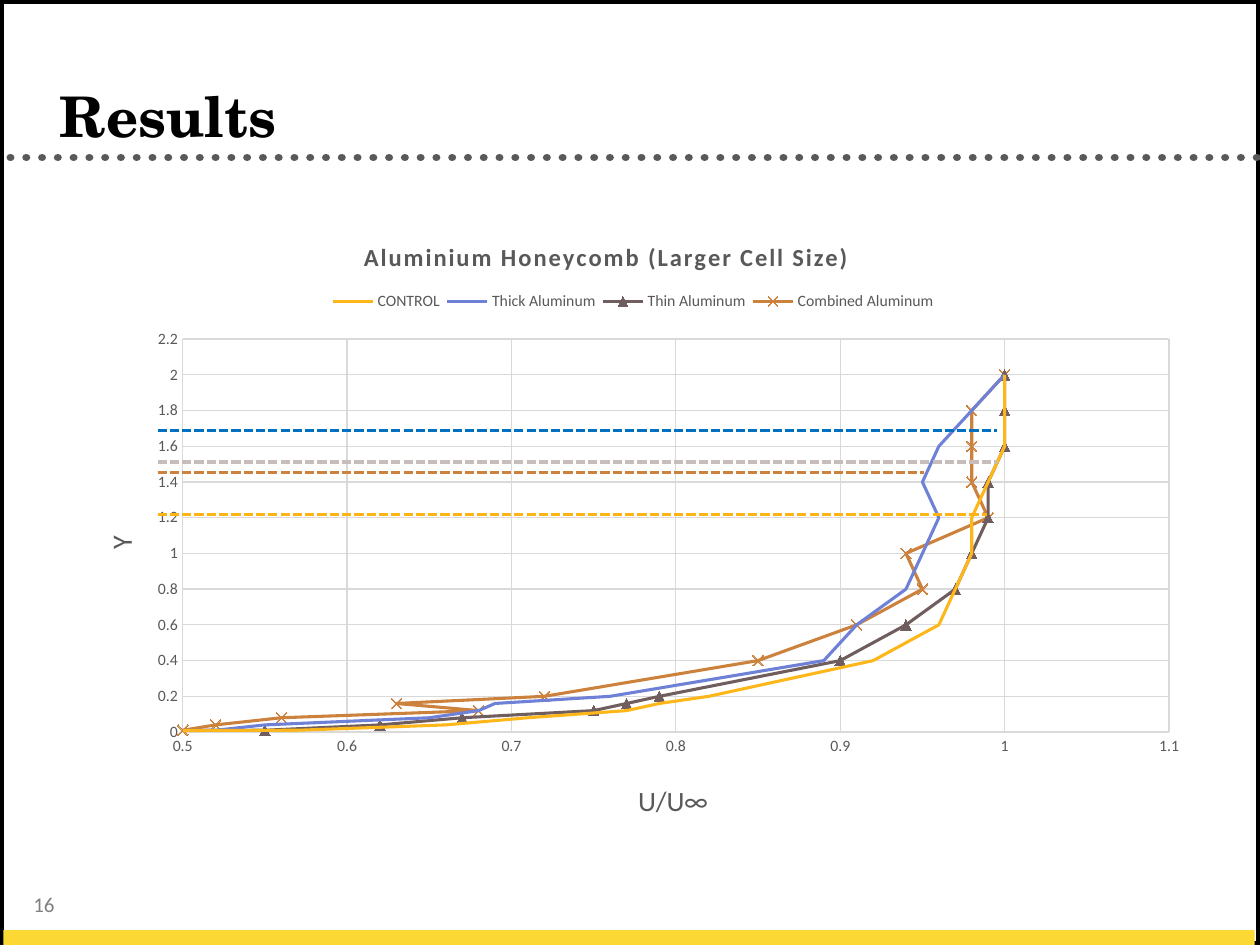
from lxml.etree import SubElement
from pptx import Presentation
from pptx.chart.data import XyChartData
from pptx.dml.color import RGBColor
from pptx.enum.chart import XL_CHART_TYPE as CHART, XL_LEGEND_POSITION as LEGEND
from pptx.enum.chart import XL_MARKER_STYLE as MARKER, XL_TICK_MARK as TICK
from pptx.enum.dml import MSO_LINE as DASH
from pptx.enum.shapes import MSO_CONNECTOR as CONN, MSO_SHAPE as SHAPE
from pptx.enum.text import MSO_ANCHOR as ANCHOR, PP_ALIGN as ALIGN
from pptx.oxml import parse_xml
from pptx.oxml.ns import nsdecls, qn
from pptx.util import Pt

GRAY, GRID = "595959", "D9D9D9"
Y = [0, 0.01, 0.04, 0.08, 0.12, 0.16, 0.2, 0.4, 0.6, 0.8, 1, 1.2, 1.4, 1.6, 1.8, 2]
SERIES = [
    ("CONTROL", "FEB71A", MARKER.NONE,
     [0, 0.57, 0.66, 0.71, 0.77, 0.79, 0.82, 0.92, 0.96, 0.97, 0.98, 0.98, 0.99, 1, 1, 1]),
    ("Thick Aluminum", "6E81D6", MARKER.NONE,
     [0, 0.52, 0.55, 0.65, 0.68, 0.69, 0.76, 0.89, 0.91, 0.94, 0.95, 0.96, 0.95, 0.96, 0.98, 1]),
    ("Thin Aluminum", "705E5F", MARKER.TRIANGLE,
     [0, 0.55, 0.62, 0.67, 0.75, 0.77, 0.79, 0.9, 0.94, 0.97, 0.98, 0.99, 0.99, 1, 1, 1]),
    ("Combined Aluminum", "CC823D", MARKER.X,
     [0, 0.5, 0.52, 0.56, 0.68, 0.63, 0.72, 0.85, 0.91, 0.95, 0.94, 0.99, 0.98, 0.98, 0.98, 1]),
]
LEVELS = [("CC823D", 270, 528), ("0070C0", 246, 570), ("C8BDBD", 264, 570), ("FEB514", 294, 564)]


def rgb(value):
    return RGBColor.from_string(value)


def style_line(line, color, width):
    line.color.rgb = rgb(color)
    line.width = Pt(width)


def add_run(p, text, size, color, font="Calibri", bold=False):
    r = p.add_run()
    r.text = text
    r.font.size, r.font.name, r.font.bold = Pt(size), font, bold
    r.font.color.rgb = rgb(color)
    return r


def add_rect(box, fill):
    sp = slide.shapes.add_shape(SHAPE.RECTANGLE, *map(Pt, box))
    sp.shadow.inherit = False
    sp.fill.solid()
    sp.fill.fore_color.rgb = rgb(fill)
    sp.line.fill.background()
    return sp


def add_line(x1, x2, y, color, width, dash):
    line = slide.shapes.add_connector(CONN.STRAIGHT, Pt(x1), Pt(y), Pt(x2), Pt(y))
    style_line(line.line, color, width)
    line.line.dash_style = dash
    SubElement(line._element.spPr, qn("a:effectLst"))
    return line


def make_layout(inner=False, **place):
    target = '<c:layoutTarget val="inner"/>' if inner else ""
    modes = "".join(f'<c:{k}Mode val="edge"/>' for k in place if k in "xy")
    values = "".join(f'<c:{k} val="{v}"/>' for k, v in place.items())
    return parse_xml(f'<c:layout {nsdecls("c")}><c:manualLayout>{target}{modes}{values}'
                     '</c:manualLayout></c:layout>')


def place_after(parent, tag, layout):
    for old in parent.findall(qn("c:layout")):
        parent.remove(old)
    parent.find(qn(tag)).addnext(layout)


def set_title(title, text, size, x, y, bold=False):
    r = add_run(title.text_frame.paragraphs[0], text, size, GRAY, bold=bold)
    place_after(title._element, "c:tx", make_layout(x=x, y=y))
    return r


def style_axis(axis, low, high, step):
    axis.minimum_scale, axis.maximum_scale, axis.major_unit = low, high, step
    axis.major_tick_mark = axis.minor_tick_mark = TICK.NONE
    axis.has_major_gridlines = True
    for line in (axis.format.line, axis.major_gridlines.format.line):
        style_line(line, GRID, 0.75)
    labels = axis.tick_labels
    labels.number_format, labels.number_format_is_linked = "General", False
    style_font(labels.font, 9)


def style_font(font, size):
    font.size, font.name = Pt(size), "Calibri"
    font.color.rgb = rgb(GRAY)


prs = Presentation()
prs.slide_width, prs.slide_height = Pt(720), Pt(540)
slide = prs.slides.add_slide(prs.slide_layouts[5])

frame = add_rect((0, 0, 720, 540), "FFFFFF")
style_line(frame.line, "000000", 4.5)
number = slide.shapes.add_textbox(Pt(12), Pt(506), Pt(66), Pt(40))
number.text_frame.word_wrap = True
add_run(number.text_frame.paragraphs[0], "16", 12, "808080")
dots = add_line(6, 720, 90, GRAY, 4.5, DASH.ROUND_DOT)
dots._element.spPr.find(qn("a:ln")).set("cap", "rnd")
add_rect((2, 531.5, 715, 8.5), "FBD833")

title = slide.shapes.title
slide.shapes._spTree.append(title._element)
title.left, title.top, title.width, title.height = map(Pt, (27, 21.6, 669.6, 67))
title.text_frame.vertical_anchor = ANCHOR.BOTTOM
p = title.text_frame.paragraphs[0]
p.alignment = ALIGN.LEFT
add_run(p, "Results", 32, "000000", "TeX Gyre Schola", True)

data = XyChartData()
for name, color, marker, xs in SERIES:
    series = data.add_series(name)
    for x, y in zip(xs, Y):
        series.add_data_point(x, y)
chart = slide.shapes.add_chart(CHART.XY_SCATTER_SMOOTH_NO_MARKERS,
                               *map(Pt, (36, 120, 651.6, 360)), data).chart
style_font(chart.font, 10)

chart.has_title = True
heading = set_title(chart.chart_title, "Aluminium Honeycomb (Larger Cell Size)", 14, 0.26, 0.04, True)
heading._r.get_or_add_rPr().set("spc", "100")
chart.has_legend = True
chart.legend.position, chart.legend.include_in_layout = LEGEND.TOP, False
style_font(chart.legend.font, 9)
place_after(chart.legend._element, "c:legendPos", make_layout(x=0.23, y=0.12, w=0.54, h=0.05))

style_axis(chart.category_axis, 0.5, 1.1, 0.1)
style_axis(chart.value_axis, 0, 2.2, 0.2)
set_title(chart.category_axis.axis_title, "U/U∞", 16, 0.5, 0.9)
set_title(chart.value_axis.axis_title, "Y", 16, 0.03, 0.51)
chart.value_axis.axis_title.text_frame._txBody.bodyPr.set("rot", "-5400000")

plot_area = chart._chartSpace.chart.plotArea
for old in plot_area.findall(qn("c:layout")):
    plot_area.remove(old)
plot_area.insert(0, make_layout(True, x=0.105, y=0.205, w=0.865, h=0.624))

chart.plots[0].vary_by_categories = False
for series, (name, color, marker, xs) in zip(chart.plots[0].series, SERIES):
    series.smooth = True
    style_line(series.format.line, color, 1.75)
    series.marker.style = marker
    if marker != MARKER.NONE:
        series.marker.size = 6
        style_line(series.marker.format.line, color, 0.75)
        series.marker.format.fill.solid()
        series.marker.format.fill.fore_color.rgb = rgb(color)

for color, y, end in LEVELS:
    add_line(90, end, y, color, 1.75, DASH.SQUARE_DOT)

prs.save("out.pptx")
